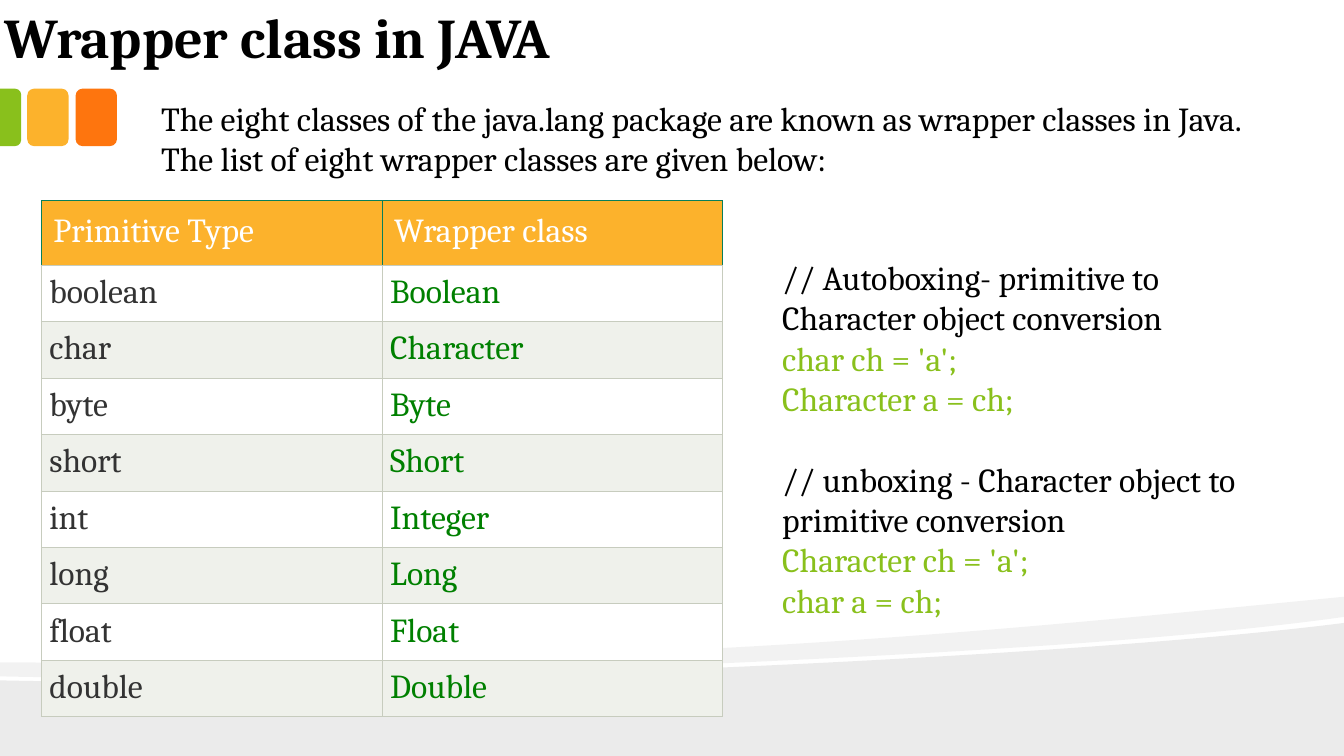
from dataclasses import dataclass

from lxml.etree import SubElement as Sub
from pptx import Presentation
from pptx.dml.color import RGBColor as Color
from pptx.enum.shapes import MSO_SHAPE as Kind
from pptx.enum.text import MSO_ANCHOR as Anchor, MSO_AUTO_SIZE as Fit, PP_ALIGN as Align
from pptx.oxml import parse_xml
from pptx.oxml.ns import nsdecls, qn
from pptx.util import Inches, Pt


@dataclass(frozen=True)
class Theme:
    """Colours, font and type sizes."""
    font: str = "Cambria"
    head: int = 40
    body: int = 24
    black: str = "000000"
    white: str = "FFFFFF"
    dark: str = "333333"
    green: str = "008000"
    lime: str = "89C01C"
    amber: str = "FCB22C"
    orange: str = "FE750E"
    band: str = "EFF1EB"
    rule: str = "C7CCBE"
    teal: str = "087F5A"


def write(para, text, *, font, size, color, bold=False, align=Align.LEFT, before=0):
    """Put formatted text in a paragraph."""
    para.alignment = align
    para.space_before = Pt(before)
    run = para.add_run()
    run.text = text
    run.font.name = font
    run.font.size = Pt(size)
    run.font.bold = bold
    run.font.color.rgb = Color.from_string(color)


class Page:
    """Holds the theme and the current slide."""

    def __init__(self, slide, theme):
        """Keep the slide and its style."""
        self.slide, self.theme = slide, theme

    def paint(self, shape, color, alpha=None):
        """Give a shape a flat fill, with no line or shadow."""
        shape.shadow.inherit = False
        shape.fill.solid()
        shape.fill.fore_color.rgb = Color.from_string(color)
        shape.line.fill.background()
        if alpha:
            tone = shape._element.spPr.find(".//" + qn("a:srgbClr"))
            Sub(tone, qn("a:alpha")).set("val", str(alpha * 1000))

    def wave(self, points, bends, alpha):
        """Draw a sheer outline; each bend is the index where a cubic curve's handles start."""
        dots = [(Inches(x), Inches(y)) for x, y in points]
        pen = self.slide.shapes.build_freeform(*dots[0], scale=1.0)
        pen.add_line_segments(dots[1:], close=True)
        shape = pen.convert_to_shape()
        lines = list(shape._element.spPr.iter(qn("a:lnTo")))
        for i in bends:
            first, *rest = lines[i - 1:i + 2]
            first.tag = qn("a:cubicBezTo")
            for line in rest:
                first.append(line[0])
                line.getparent().remove(line)
        self.paint(shape, self.theme.black, alpha)

    def block(self, kind, box, color, turn=0, bends=()):
        """Draw a preset shape."""
        shape = self.slide.shapes.add_shape(kind, *map(Inches, box))
        shape.rotation = turn
        for i, bend in enumerate(bends):
            shape.adjustments[i] = bend
        self.paint(shape, color)

    def title(self, text, box):
        """Move and fill the title placeholder."""
        shape = self.slide.shapes.title
        shape.left, shape.top, shape.width, shape.height = map(Inches, box)
        frame = shape.text_frame
        frame.auto_size, frame.word_wrap = Fit.NONE, True
        frame.vertical_anchor = Anchor.BOTTOM
        frame.margin_left = frame.margin_right = Inches(0.13)
        frame.margin_top = frame.margin_bottom = Inches(0.07)
        write(frame.paragraphs[0], text, font=self.theme.font, size=self.theme.head,
              color=self.theme.black, bold=True)

    def text(self, box, lines):
        """Add a text box from (text, colour, space before) lines."""
        frame = self.slide.shapes.add_textbox(*map(Inches, box)).text_frame
        frame.word_wrap, frame.auto_size = True, Fit.SHAPE_TO_FIT_TEXT
        for i, (line, color, before) in enumerate(lines):
            para = frame.add_paragraph() if i else frame.paragraphs[0]
            write(para, line, font=self.theme.font, size=self.theme.body,
                  color=color, before=before)

    def cell(self, cell, text, color, fill, edges, pad, align):
        """Fill one table cell and rule its left, right, top and bottom edges."""
        cell.margin_left = cell.margin_right = Inches(pad)
        cell.margin_top = cell.margin_bottom = Inches(pad)
        cell.fill.solid()
        cell.fill.fore_color.rgb = Color.from_string(fill)
        for i, (side, edge) in enumerate(zip("LRTB", edges)):
            cell._tc.tcPr.insert(i, parse_xml(
                f'<a:ln{side} {nsdecls("a")} w="{Pt(0.75)}"><a:solidFill>'
                f'<a:srgbClr val="{edge}"/></a:solidFill></a:ln{side}>'))
        write(cell.text_frame.paragraphs[0], text, font=self.theme.font,
              size=self.theme.body, color=color, align=align)

    def table(self, box, rows, tall):
        """Add a table with a header row and banded body rows."""
        look = self.theme
        grid = self.slide.shapes.add_table(len(rows), len(rows[0]), *map(Inches, box)).table
        grid.first_row = grid.horz_banding = False
        for r, row in enumerate(rows):
            grid.rows[r].height = Inches(tall[min(r, 1)])
            for c, text in enumerate(row):
                if r == 0:
                    form = (look.white, look.amber, [look.teal] * 3 + [look.rule],
                            0.12, Align.LEFT)
                else:
                    form = ((look.dark, look.green)[c], (look.band, look.white)[r % 2],
                            [look.rule] * 4, 0.08, Align.JUSTIFY)
                self.cell(grid.cell(r, c), text, *form)


def main():
    """Build the slide and save it."""
    deck = Presentation()
    deck.slide_width, deck.slide_height = Inches(13.33), Inches(7.5)
    look = Theme()
    page = Page(deck.slides.add_slide(deck.slide_layouts[5]), look)

    page.wave([(13.33, 6.18), (13.33, 7.5), (0, 7.5), (0, 6.75),
               (3.52, 6.83), (10.42, 6.55), (13.33, 6.18)], [4], 8)
    page.wave([(13.33, 5.92), (13.33, 6.12),
               (12.55, 6.23), (11.49, 6.33), (10.29, 6.41),
               (6.98, 6.63), (2.58, 6.77), (0, 6.71), (0, 6.57),
               (6.52, 6.62), (9.71, 6.27), (13.33, 5.92)], [2, 5, 9], 5)
    for left, color in ((0.75, look.orange), (0.27, look.amber)):
        page.block(Kind.ROUNDED_RECTANGLE, (left, 0.88, 0.41, 0.57), color)
    page.block(Kind.ROUND_2_SAME_RECTANGLE, (-0.18, 1.06, 0.57, 0.21), look.lime,
               turn=90, bends=(0.29, 0))

    page.title("Wrapper class in JAVA", (-0.09, -0.67, 13.25, 1.43))
    page.text((1.5, 0.92, 11.42, 0.91), [
        ("The eight classes of the java.lang package are known as wrapper classes in Java. "
         "The list of eight wrapper classes are given below:", look.black, 0)])

    pairs = [("Primitive Type", "Wrapper class"), ("boolean", "Boolean"),
             ("char", "Character"), ("byte", "Byte"), ("short", "Short"),
             ("int", "Integer"), ("long", "Long"), ("float", "Float"),
             ("double", "Double")]
    page.table((0.41, 1.99, 6.76, 5.13), pairs, (0.63, 0.56))

    page.text((7.66, 2.5, 4.92, 3.74), [
        ("// Autoboxing- primitive to Character object conversion", look.black, 0),
        ("char ch = 'a';", look.lime, 0),
        ("Character a = ch;", look.lime, 0),
        ("// unboxing - Character object to primitive conversion", look.black, 28.8),
        ("Character ch = 'a';", look.lime, 0),
        ("char a = ch;", look.lime, 0)])
    deck.save("out.pptx")


main()
